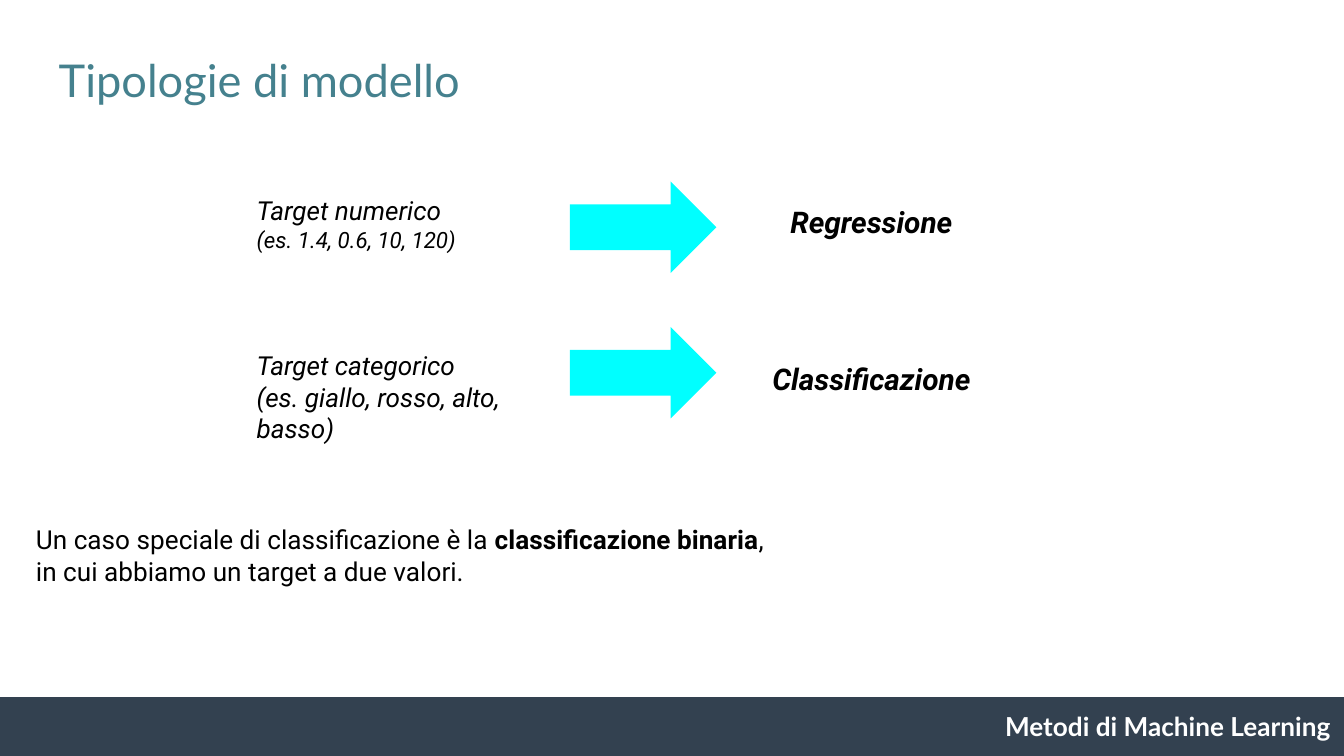
from dataclasses import dataclass

from pptx import Presentation
from pptx.dml.color import RGBColor
from pptx.enum.shapes import MSO_SHAPE as Preset
from pptx.enum.text import MSO_ANCHOR as Anchor, PP_ALIGN as Align
from pptx.util import Cm, Pt


@dataclass(frozen=True)
class Theme:
    teal: RGBColor = RGBColor(0x45, 0x81, 0x8E)
    navy: RGBColor = RGBColor(0x33, 0x41, 0x50)
    cyan: RGBColor = RGBColor(0x00, 0xFF, 0xFF)
    black: RGBColor = RGBColor(0x00, 0x00, 0x00)
    white: RGBColor = RGBColor(0xFF, 0xFF, 0xFF)
    heading_font: str = "Lato"
    body_font: str = "Roboto"
    title_size: float = 24.2
    result_size: float = 16
    body_size: float = 14
    example_size: float = 12


THEME = Theme()
INSET = Cm(0.25)


@dataclass(frozen=True)
class Box:
    left: float
    top: float
    width: float
    height: float

    def lengths(self):
        return Cm(self.left), Cm(self.top), Cm(self.width), Cm(self.height)


def add_text(slide, box, lines, sizes, color=THEME.black, font=THEME.body_font,
             bold=None, italic=None, align=Align.LEFT, anchor=Anchor.TOP):
    frame = slide.shapes.add_textbox(*box.lengths()).text_frame
    frame.word_wrap = True
    frame.vertical_anchor = anchor
    frame.margin_left = frame.margin_right = INSET
    frame.margin_top = frame.margin_bottom = INSET
    for index, (line, size) in enumerate(zip(lines, sizes)):
        paragraph = frame.add_paragraph() if index else frame.paragraphs[0]
        paragraph.text = line
        paragraph.alignment = align
        paragraph.font.name = font
        paragraph.font.size = Pt(size)
        paragraph.font.color.rgb = color
        paragraph.font.bold = bold
        paragraph.font.italic = italic
    return frame


def add_filled_shape(slide, preset, box, color):
    shape = slide.shapes.add_shape(preset, *box.lengths())
    shape.shadow.inherit = False
    shape.fill.solid()
    shape.fill.fore_color.rgb = color
    shape.line.fill.background()


def add_title(slide, box):
    add_text(slide, box, ["Tipologie di modello"], [THEME.title_size],
             color=THEME.teal, font=THEME.heading_font, anchor=Anchor.MIDDLE)


def add_footer(slide, box):
    add_filled_shape(slide, Preset.RECTANGLE, box, THEME.navy)
    label_width = 6.78
    label = Box(box.left + box.width - label_width, box.top, label_width, box.height)
    add_text(slide, label, ["Metodi di Machine Learning"], [THEME.body_size],
             color=THEME.white, font=THEME.heading_font, bold=True, align=Align.RIGHT)


def add_model_row(slide, box, target, sizes, result, target_drop, result_drop):
    target_box = Box(box.left, box.top + target_drop, 5.23, 1.02)
    arrow_box = Box(box.left + 6.17, box.top, 2.77, box.height)
    result_width = 4.7
    result_box = Box(box.left + box.width - result_width, box.top + result_drop,
                     result_width, 1.02)
    add_text(slide, target_box, target, sizes, italic=True)
    add_filled_shape(slide, Preset.RIGHT_ARROW, arrow_box, THEME.cyan)
    add_text(slide, result_box, [result], [THEME.result_size],
             bold=True, italic=True, align=Align.CENTER)


def add_binary_note(slide, box):
    lines = ["Un caso speciale di classificazione è la ",
             "in cui abbiamo un target a due valori."]
    frame = add_text(slide, box, lines, [THEME.body_size] * len(lines))
    opening = frame.paragraphs[0]
    term = opening.add_run()
    term.text = "classificazione binaria"
    term.font.bold = True
    opening.add_run().text = ","


def main():
    presentation = Presentation()
    presentation.slide_width = Cm(25.4)
    presentation.slide_height = Cm(14.29)
    slide = presentation.slides.add_slide(presentation.slide_layouts[6])

    add_title(slide, Box(0.86, 0.71, 23.67, 1.6))
    add_footer(slide, Box(-0.05, 13.18, 25.45, 1.11))
    add_binary_note(slide, Box(0.43, 9.65, 24.61, 1.88))

    rows = [
        (["Target numerico", "(es. 1.4, 0.6, 10, 120)"],
         [THEME.body_size, THEME.example_size], "Regressione", 0, 0.18),
        (["Target categorico", "(es. giallo, rosso, alto, basso)"],
         [THEME.body_size, THEME.body_size], "Classificazione", 0.18, 0.38),
    ]
    first_top, row_step = 3.43, 2.75
    for index, row in enumerate(rows):
        add_model_row(slide, Box(4.6, first_top + index * row_step, 14.22, 1.73), *row)

    presentation.save("out.pptx")


if __name__ == "__main__":
    main()
